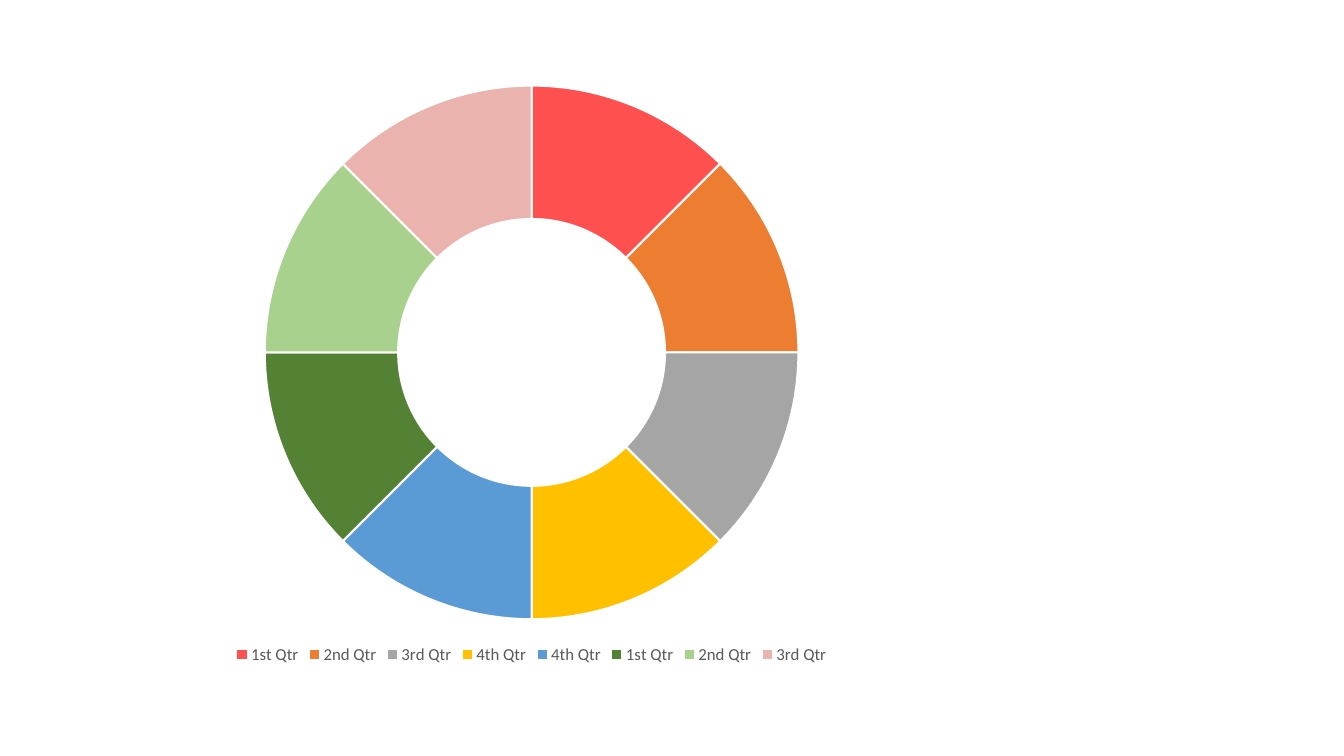
from pptx import Presentation
from pptx.chart.data import CategoryChartData
from pptx.dml.color import RGBColor
from pptx.enum.chart import XL_CHART_TYPE, XL_LEGEND_POSITION
from pptx.util import Pt

RING = XL_CHART_TYPE.DOUGHNUT
BELOW = XL_LEGEND_POSITION.BOTTOM
BLANK = 6

PARTS = [
    ("1st Qtr", 12, "FF5050"),
    ("2nd Qtr", 12, "ED7D31"),
    ("3rd Qtr", 12, "A5A5A5"),
    ("4th Qtr", 12, "FFC000"),
    ("4th Qtr", 12, "5B9BD5"),
    ("1st Qtr", 12, "548235"),
    ("2nd Qtr", 12, "A9D18E"),
    ("3rd Qtr", 12, "EBB3AD"),
]
THEME = {
    "edge": "FFFFFF",
    "edge_width": Pt(1.5),
    "hole": 75,
    "base": {"name": "Calibri", "size": Pt(10), "color": "000000"},
    "key": {"name": "Calibri", "size": Pt(12), "color": "595959"},
}
SLIDE = Pt(960), Pt(540)
FRAME = Pt(60), Pt(51.2), Pt(639.5), Pt(426.3)


def style(font, form):
    """Apply a dict of format values to a font."""
    for key, val in form.items():
        if key == "color":
            font.color.rgb = RGBColor.from_string(val)
        else:
            setattr(font, key, val)


def paint(point, color):
    """Fill one ring part and give it a white edge."""
    form = point.format
    form.fill.solid()
    form.fill.fore_color.rgb = RGBColor.from_string(color)
    form.line.color.rgb = RGBColor.from_string(THEME["edge"])
    form.line.width = THEME["edge_width"]


def add_ring(slide):
    """Draw the doughnut chart with its legend."""
    names, vals, colors = zip(*PARTS)
    data = CategoryChartData()
    data.categories = names
    data.add_series("Series 1", vals)
    chart = slide.shapes.add_chart(RING, *FRAME, data).chart
    chart.has_title = False
    style(chart.font, THEME["base"])

    chart.has_legend = True
    legend = chart.legend
    legend.position = BELOW
    legend.include_in_layout = False
    style(legend.font, THEME["key"])

    plot = chart.plots[0]
    plot.vary_by_categories = True
    plot.has_data_labels = False
    for hole in chart.element.xpath(".//c:holeSize"):
        hole.set("val", str(THEME["hole"]))
    for spot, color in enumerate(colors):
        paint(plot.series[0].points[spot], color)


deck = Presentation()
deck.slide_width, deck.slide_height = SLIDE
add_ring(deck.slides.add_slide(deck.slide_layouts[BLANK]))
deck.save("out.pptx")
